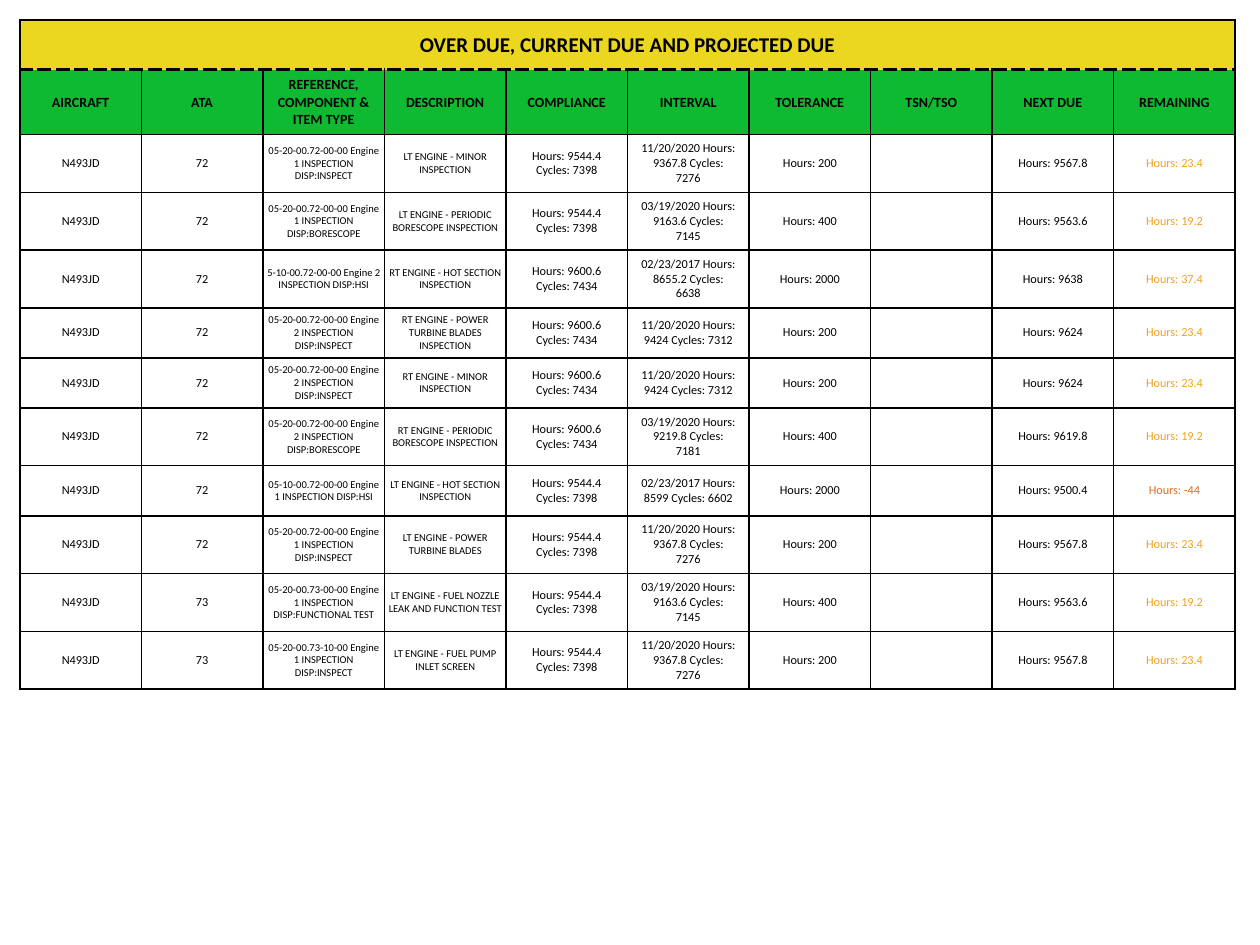
from lxml import etree
from pptx import Presentation, util as u
from pptx.dml.color import RGBColor
from pptx.enum import text
from pptx.oxml import ns

COLORS = {
    "ink": "000000",
    "title": "EAD40E",
    "header": "0DBA32",
    "due": "F39C12",
    "overdue": "D35400",
}
OPACITY = {"title": 92, "due": 95, "overdue": 83}

TITLE = "OVER DUE, CURRENT DUE AND PROJECTED DUE"
HEADERS = ["AIRCRAFT", "ATA", "REFERENCE, COMPONENT & ITEM TYPE", "DESCRIPTION", "COMPLIANCE",
           "INTERVAL", "TOLERANCE", "TSN/TSO", "NEXT DUE", "REMAINING"]
AIRCRAFT = "N493JD"
COMPLIANCE = {"LT": "Hours: 9544.4 Cycles: 7398", "RT": "Hours: 9600.6 Cycles: 7434"}

# ATA, reference, description, interval, then hours of tolerance, next due and remaining
INSPECTIONS = [
    ("72", "05-20-00.72-00-00 Engine 1 INSPECTION DISP:INSPECT", "LT ENGINE - MINOR INSPECTION",
     "11/20/2020 Hours: 9367.8 Cycles: 7276", "200", "9567.8", "23.4"),
    ("72", "05-20-00.72-00-00 Engine 1 INSPECTION DISP:BORESCOPE",
     "LT ENGINE - PERIODIC BORESCOPE INSPECTION",
     "03/19/2020 Hours: 9163.6 Cycles: 7145", "400", "9563.6", "19.2"),
    ("72", "5-10-00.72-00-00 Engine 2 INSPECTION DISP:HSI", "RT ENGINE - HOT SECTION INSPECTION",
     "02/23/2017 Hours: 8655.2 Cycles: 6638", "2000", "9638", "37.4"),
    ("72", "05-20-00.72-00-00 Engine 2 INSPECTION DISP:INSPECT",
     "RT ENGINE - POWER TURBINE BLADES INSPECTION",
     "11/20/2020 Hours: 9424 Cycles: 7312", "200", "9624", "23.4"),
    ("72", "05-20-00.72-00-00 Engine 2 INSPECTION DISP:INSPECT", "RT ENGINE - MINOR INSPECTION",
     "11/20/2020 Hours: 9424 Cycles: 7312", "200", "9624", "23.4"),
    ("72", "05-20-00.72-00-00 Engine 2 INSPECTION DISP:BORESCOPE",
     "RT ENGINE - PERIODIC BORESCOPE INSPECTION",
     "03/19/2020 Hours: 9219.8 Cycles: 7181", "400", "9619.8", "19.2"),
    ("72", "05-10-00.72-00-00 Engine 1 INSPECTION DISP:HSI", "LT ENGINE - HOT SECTION INSPECTION",
     "02/23/2017 Hours: 8599 Cycles: 6602", "2000", "9500.4", "-44"),
    ("72", "05-20-00.72-00-00 Engine 1 INSPECTION DISP:INSPECT", "LT ENGINE - POWER TURBINE BLADES",
     "11/20/2020 Hours: 9367.8 Cycles: 7276", "200", "9567.8", "23.4"),
    ("73", "05-20-00.73-00-00 Engine 1 INSPECTION DISP:FUNCTIONAL TEST",
     "LT ENGINE - FUEL NOZZLE LEAK AND FUNCTION TEST",
     "03/19/2020 Hours: 9163.6 Cycles: 7145", "400", "9563.6", "19.2"),
    ("73", "05-20-00.73-10-00 Engine 1 INSPECTION DISP:INSPECT", "LT ENGINE - FUEL PUMP INLET SCREEN",
     "11/20/2020 Hours: 9367.8 Cycles: 7276", "200", "9567.8", "23.4"),
]
COMPACT_COLUMNS = (2, 3)
WIDE, NARROW = u.Cm(0.13), u.Cm(0.03)


class SlideBuilder:
    def __init__(self, slide, font="Calibri"):
        self.slide = slide
        self.font = font

    def paint(self, color_format, name):
        """Set a named colour, with its opacity if it has one."""
        color_format.rgb = RGBColor.from_string(COLORS[name])
        if name in OPACITY:
            srgb = color_format._xFill.find(ns.qn("a:srgbClr"))
            etree.SubElement(srgb, ns.qn("a:alpha"), val=str(OPACITY[name] * 1000))

    def table(self, row_count, column_count, left, top, column_width, row_height):
        frame = self.slide.shapes.add_table(row_count, column_count, left, top,
                                            column_width * column_count, row_height * row_count)
        table = frame.table
        table.first_row = table.horz_banding = False
        return table

    def borders(self, cell, dashed):
        """Draw all four edges; dashed maps an edge letter to its line width."""
        properties = cell._tc.get_or_add_tcPr()
        for position, edge in enumerate("LRTB"):
            line = etree.Element(ns.qn(f"a:ln{edge}"), w=str(u.Pt(dashed.get(edge, 1))))
            fill = etree.SubElement(line, ns.qn("a:solidFill"))
            etree.SubElement(fill, ns.qn("a:srgbClr"), val=COLORS["ink"])
            style = "dash" if edge in dashed else "solid"
            etree.SubElement(line, ns.qn("a:prstDash"), val=style)
            properties.insert(position, line)

    def cell(self, cell, words, size, bold=False, color="ink", fill=None,
             margin=WIDE, indent=WIDE, dashed=None):
        cell.vertical_anchor = text.MSO_ANCHOR.MIDDLE
        cell.margin_left = cell.margin_right = cell.margin_top = cell.margin_bottom = margin
        if fill:
            cell.fill.solid()
            self.paint(cell.fill.fore_color, fill)
        else:
            cell.fill.background()
        self.borders(cell, dashed or {})
        cell.text = words
        paragraph = cell.text_frame.paragraphs[0]
        paragraph.alignment = text.PP_ALIGN.CENTER
        for side in ("marL", "marR"):
            paragraph._p.get_or_add_pPr().set(side, str(indent))
        paragraph.font.name = self.font
        paragraph.font.size = u.Pt(size)
        paragraph.font.bold = bold
        paragraph.font.fill.solid()
        self.paint(paragraph.font.fill.fore_color, color)


def main():
    presentation = Presentation()
    presentation.slide_width, presentation.slide_height = u.Cm(25.4), u.Cm(19.05)
    builder = SlideBuilder(presentation.slides.add_slide(presentation.slide_layouts[6]))
    table = builder.table(len(INSPECTIONS) + 2, len(HEADERS), u.Cm(0.4), u.Cm(0.4),
                          u.Cm(2.45), u.Cm(1.01))

    table.cell(0, 0).merge(table.cell(0, len(HEADERS) - 1))
    for column, header in enumerate(HEADERS):
        title_cell = table.cell(0, column)
        builder.cell(title_cell, "" if column else TITLE, 12, bold=True, fill="title",
                     margin=0, indent=0, dashed={"B": 1})
        title_cell.margin_top = title_cell.margin_bottom = u.Cm(0.2)
        builder.cell(table.cell(1, column), header, 8, bold=True, fill="header", dashed={"T": 2})

    for row, inspection in enumerate(INSPECTIONS, start=2):
        ata, reference, description, interval, *hours = inspection
        tolerance, next_due, remaining = (f"Hours: {value}" for value in hours)
        values = [AIRCRAFT, ata, reference, description, COMPLIANCE[description[:2]],
                  interval, tolerance, "", next_due, remaining]
        status = "overdue" if float(hours[-1]) < 0 else "due"
        for column, value in enumerate(values):
            compact = column in COMPACT_COLUMNS
            space = NARROW if compact or not value else WIDE
            builder.cell(table.cell(row, column), value, 6 if compact else 7,
                         color=status if column == len(values) - 1 else "ink",
                         margin=space, indent=space)

    presentation.save("out.pptx")


if __name__ == "__main__":
    main()
